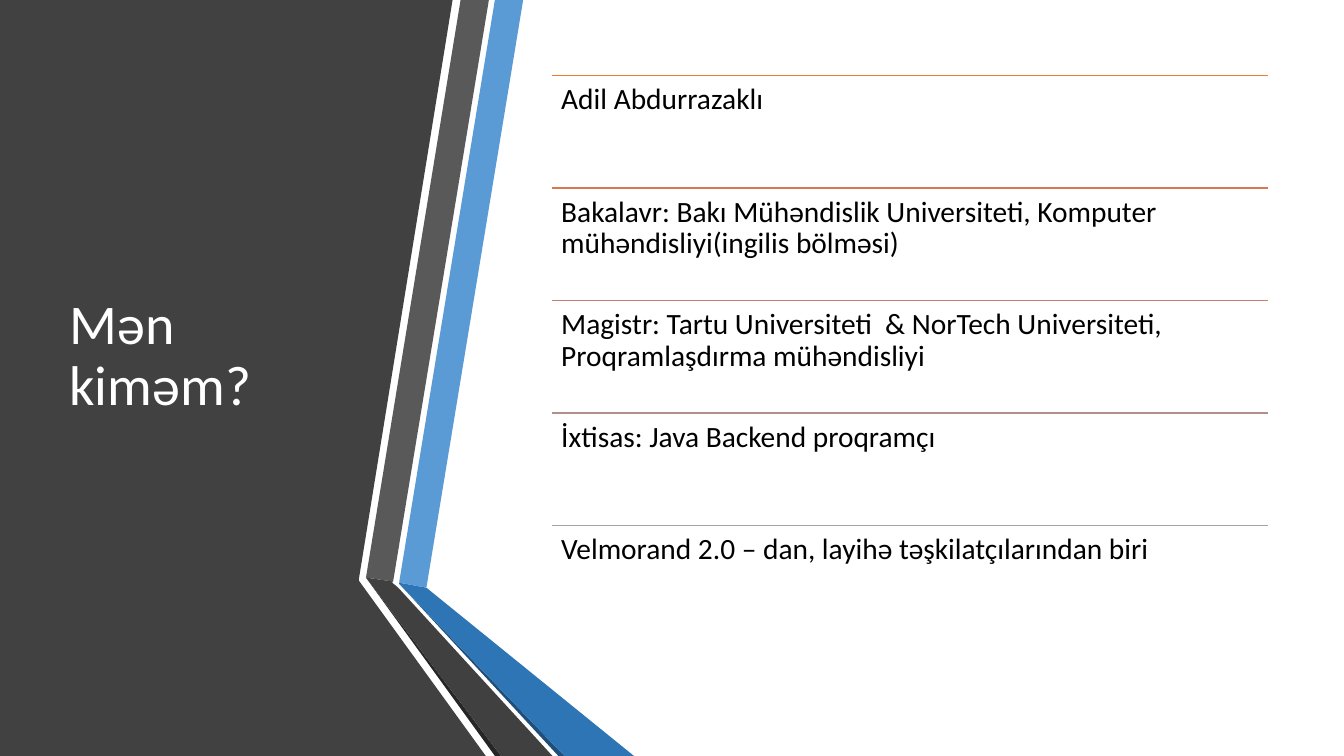
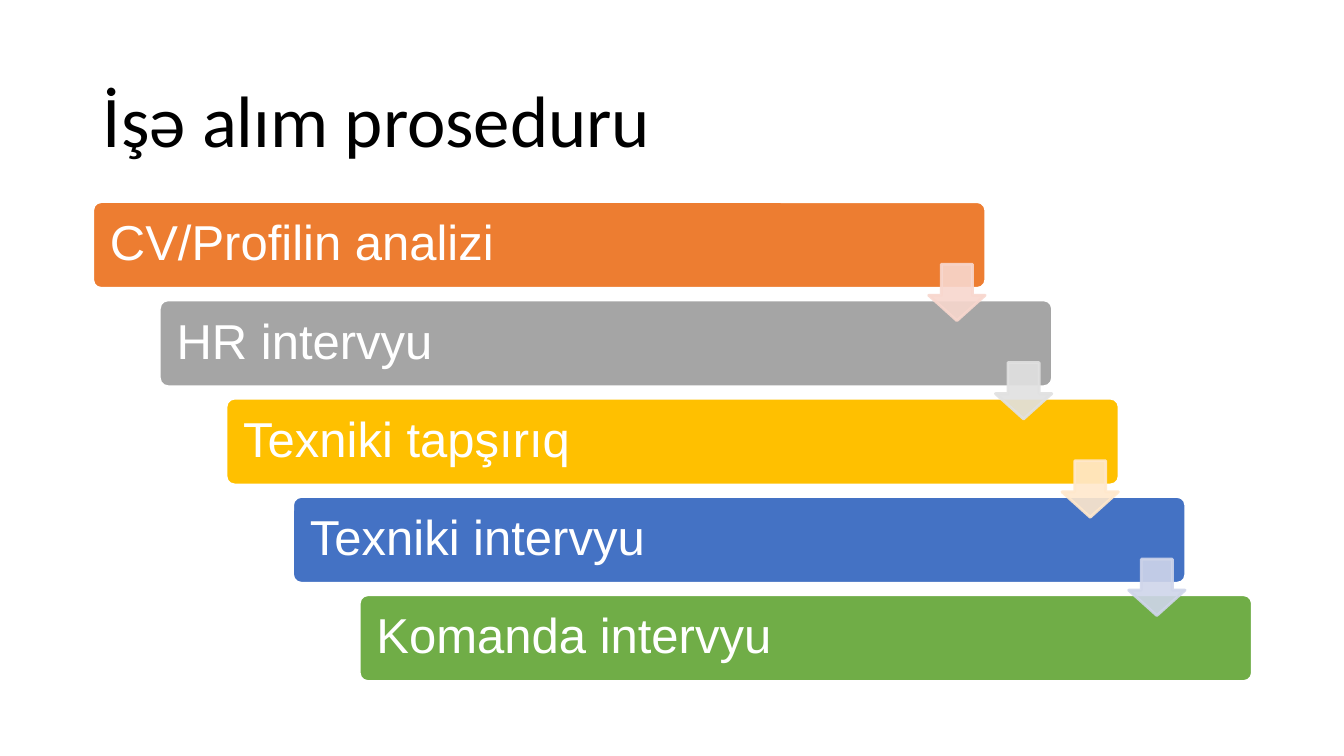
from dataclasses import dataclass

from lxml import etree
from pptx import Presentation
from pptx.dml.color import RGBColor
from pptx.enum.shapes import MSO_CONNECTOR, MSO_SHAPE
from pptx.enum.text import MSO_ANCHOR, MSO_AUTO_SIZE, PP_ALIGN
from pptx.oxml.ns import qn
from pptx.util import Pt

# Enum members
STRAIGHT = MSO_CONNECTOR.STRAIGHT
BAR, DOWN_ARROW = MSO_SHAPE.ROUNDED_RECTANGLE, MSO_SHAPE.DOWN_ARROW
TOP, MIDDLE = MSO_ANCHOR.TOP, MSO_ANCHOR.MIDDLE
LEFT = PP_ALIGN.LEFT
NO_AUTOFIT = MSO_AUTO_SIZE.NONE

# Colours
WHITE = RGBColor(0xFF, 0xFF, 0xFF)
BLACK = RGBColor(0x00, 0x00, 0x00)
PANEL = RGBColor(0x41, 0x41, 0x41)
GREY = RGBColor(0x59, 0x59, 0x59)
DARK_GREY = RGBColor(0x40, 0x40, 0x40)
NEAR_BLACK = RGBColor(0x26, 0x26, 0x26)
SKY = RGBColor(0x5B, 0x9B, 0xD5)
MID_BLUE = RGBColor(0x2E, 0x75, 0xB5)
NAVY = RGBColor(0x1E, 0x4E, 0x79)
ORANGE = RGBColor(0xED, 0x7D, 0x31)
RUST = RGBColor(0xD7, 0x78, 0x50)
ROSE = RGBColor(0xC4, 0x7F, 0x6E)
MAUVE = RGBColor(0xB3, 0x8E, 0x8A)
SILVER = RGBColor(0xA4, 0xA4, 0xA4)
MID_GREY = RGBColor(0xA5, 0xA5, 0xA5)
GOLD = RGBColor(0xFF, 0xC0, 0x00)
BLUE = RGBColor(0x44, 0x72, 0xC4)
GREEN = RGBColor(0x70, 0xAD, 0x47)
PALE_ORANGE = RGBColor(0xF8, 0xD7, 0xCE)
PALE_GREY = RGBColor(0xE1, 0xE1, 0xE1)
PALE_GOLD = RGBColor(0xFF, 0xE8, 0xCC)
PALE_BLUE = RGBColor(0xCF, 0xD5, 0xEA)

# Fonts and layout, in points
TITLE_FONT, STEP_FONT = "Calibri", "Arial"
SLIDE_W, SLIDE_H = 960, 540
ROW_X, ROW_Y, ROW_W, ROW_H = 394.6, 53.8, 511.2, 80.4
STEP_X, STEP_Y, STEP_W, STEP_H = 66.2, 144, 638, 62
STEP_DX, STEP_DY = 47.6, 70.2
ARROW_DX, ARROW_DY, ARROW_SIZE = 597.2, 44.8, 40.3


@dataclass
class Band:
    color: RGBColor
    points: list[tuple[float, float]]


@dataclass
class Row:
    text: str
    color: RGBColor


@dataclass
class Step:
    text: str
    color: RGBColor
    arrow: RGBColor | None = None


BANDS = [
    Band(PANEL, [(0, 0), (323.3, 0), (256.3, 414), (256.3, 414.7), (347, SLIDE_H),
                 (0, SLIDE_H)]),
    Band(SKY, [(285.1, 416.2), (304.6, 419.8), (373.7, 0), (353.5, 0)]),
    Band(GREY, [(349.2, 0), (329, 0), (261.4, 412.6), (280.8, 415.4)]),
    Band(NEAR_BLACK, [(261.4, 412.6), (353.5, SLIDE_H), (357.8, SLIDE_H)]),
    Band(NAVY, [(285.1, 416.9), (398.9, SLIDE_H), (403.2, SLIDE_H)]),
    Band(MID_BLUE, [(285.1, 416.9), (403.2, SLIDE_H), (452.9, SLIDE_H), (304.6, 419.8),
                    (285.1, 416.2)]),
    Band(DARK_GREY, [(394.6, SLIDE_H), (284.4, 419.8), (280.1, 416.2), (280.8, 415.4),
                     (261.4, 412.6), (357.8, SLIDE_H)]),
]

ROWS = [
    Row("Adil Abdurrazaklı", ORANGE),
    Row("Bakalavr: Bakı Mühəndislik Universiteti, Komputer "
        "mühəndisliyi(ingilis bölməsi)", RUST),
    Row("Magistr: Tartu Universiteti  & NorTech Universiteti, "
        "Proqramlaşdırma mühəndisliyi", ROSE),
    Row("İxtisas: Java Backend proqramçı", MAUVE),
    Row("Velmorand 2.0 – dan, layihə təşkilatçılarından biri", SILVER),
]

STEPS = [
    Step("CV/Profilin analizi", ORANGE, PALE_ORANGE),
    Step("HR intervyu", MID_GREY, PALE_GREY),
    Step("Texniki tapşırıq", GOLD, PALE_GOLD),
    Step("Texniki intervyu", BLUE, PALE_BLUE),
    Step("Komanda intervyu", GREEN),
]


def write(s, text: str, size: float, color: RGBColor, font: str, anchor,
          margin_x: float, margin_y: float) -> None:
    """Put one left-aligned paragraph into a shape."""
    tf = s.text_frame
    tf.word_wrap, tf.auto_size, tf.vertical_anchor = True, NO_AUTOFIT, anchor
    tf.margin_left = tf.margin_right = Pt(margin_x)
    tf.margin_top = tf.margin_bottom = Pt(margin_y)
    p = tf.paragraphs[0]
    p.alignment, p.line_spacing = LEFT, 0.9
    r = p.add_run()
    r.text = text
    r.font.name, r.font.size, r.font.color.rgb = font, Pt(size), color


def add_titled_slide(prs, text: str, x: float, y: float, w: float, h: float,
                     size: float, color: RGBColor):
    """Add a title-only slide with its title moved and formatted."""
    slide = prs.slides.add_slide(prs.slide_layouts[5])
    s = slide.shapes.title
    s.left, s.top, s.width, s.height = Pt(x), Pt(y), Pt(w), Pt(h)
    write(s, text, size, color, TITLE_FONT, MIDDLE, 7.2, 3.6)
    return slide


def add_band(sp, band: Band) -> None:
    points = [(Pt(x), Pt(y)) for x, y in band.points]
    builder = sp.build_freeform(*points[0])
    builder.add_line_segments(points[1:], close=True)
    s = builder.convert_to_shape()
    s.shadow.inherit = False
    s.fill.solid()
    s.fill.fore_color.rgb = band.color
    s.line.fill.background()


def add_row(sp, row: Row, y: float) -> None:
    """Draw a rule with its text below."""
    rule = sp.add_connector(STRAIGHT, Pt(ROW_X), Pt(y), Pt(ROW_X + ROW_W), Pt(y))
    rule.line.color.rgb, rule.line.width = row.color, Pt(1)
    etree.SubElement(rule._element.spPr, qn("a:effectLst"))
    s = sp.add_textbox(Pt(ROW_X), Pt(y), Pt(ROW_W), Pt(ROW_H))
    write(s, row.text, 21, BLACK, TITLE_FONT, TOP, 6.3, 6.3)


def add_preset(sp, kind, x: float, y: float, w: float, h: float,
               fill: RGBColor, line: RGBColor, adjustments: list[float]):
    s = sp.add_shape(kind, Pt(x), Pt(y), Pt(w), Pt(h))
    s.shadow.inherit = False
    s.fill.solid()
    s.fill.fore_color.rgb = fill
    s.line.color.rgb, s.line.width = line, Pt(2)
    for i, value in enumerate(adjustments):
        s.adjustments[i] = value
    return s


def add_step(sp, step: Step, x: float, y: float) -> None:
    s = add_preset(sp, BAR, x, y, STEP_W, STEP_H, step.color, WHITE, [0.1])
    write(s, step.text, 35, WHITE, STEP_FONT, MIDDLE, 10.5, 0)


def add_arrow(sp, color: RGBColor, x: float, y: float) -> None:
    """Draw a down arrow whose fill and line are 90% opaque."""
    s = add_preset(sp, DOWN_ARROW, x, y, ARROW_SIZE, ARROW_SIZE, color, color, [0.55, 0.45])
    for clr in s._element.spPr.iter(qn("a:srgbClr")):
        etree.SubElement(clr, qn("a:alpha")).set("val", "90000")


def build_profile(prs) -> None:
    slide = add_titled_slide(prs, "Mən kiməm?", 42.5, 54, 218.9, 401.8, 40, WHITE)
    sp = slide.shapes
    for band in BANDS:
        add_band(sp, band)
    # The title stands in front of the dark panel
    title = sp.title._element
    title.getparent().append(title)
    for i, row in enumerate(ROWS):
        add_row(sp, row, ROW_Y + i * ROW_H)


def build_procedure(prs) -> None:
    slide = add_titled_slide(prs, "İşə alım proseduru", 66.2, 43.9, 828, 89.3, 52, BLACK)
    sp = slide.shapes
    places = [(STEP_X + i * STEP_DX, STEP_Y + i * STEP_DY) for i in range(len(STEPS))]
    for step, (x, y) in zip(STEPS, places):
        add_step(sp, step, x, y)
    # Arrows overlap the bars, so they come last
    for step, (x, y) in zip(STEPS, places):
        if step.arrow is not None:
            add_arrow(sp, step.arrow, x + ARROW_DX, y + ARROW_DY)


def main() -> None:
    prs = Presentation()
    prs.slide_width, prs.slide_height = Pt(SLIDE_W), Pt(SLIDE_H)
    build_profile(prs)
    build_procedure(prs)
    prs.save("out.pptx")


if __name__ == "__main__":
    main()
